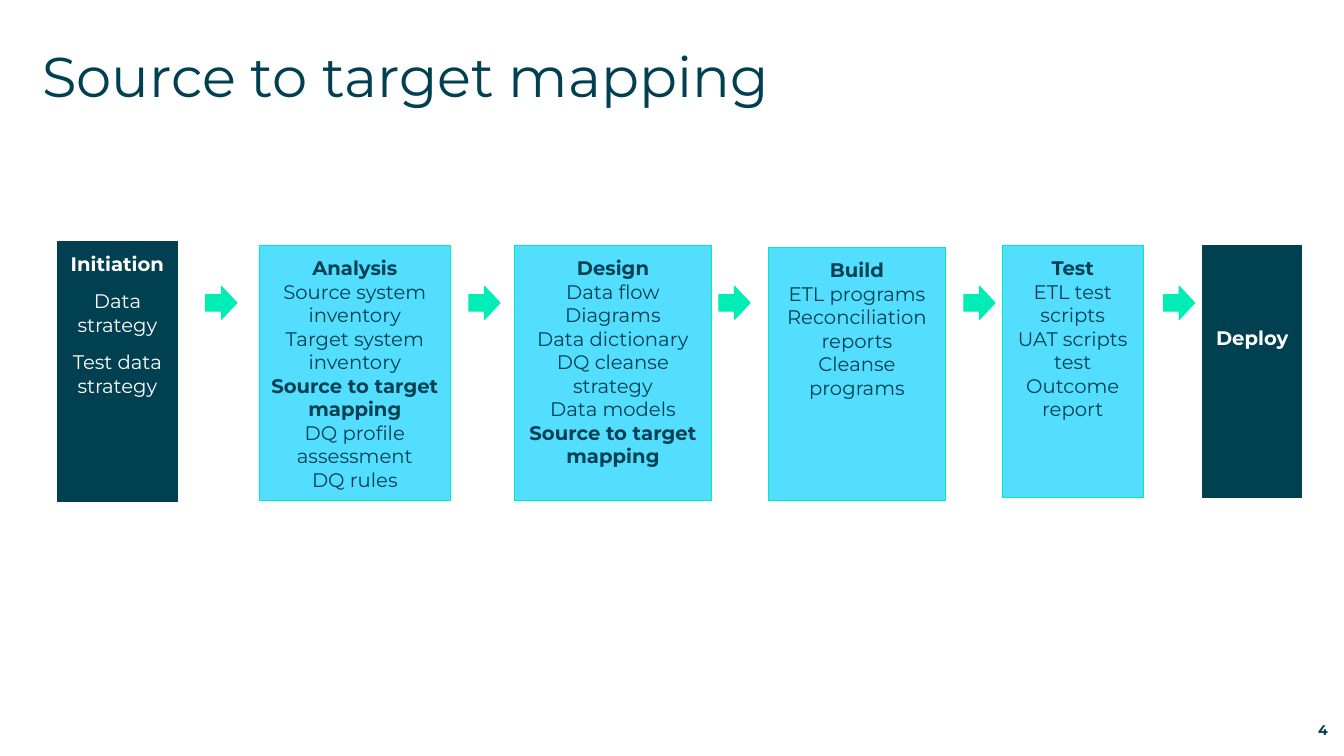
from dataclasses import dataclass
from typing import NamedTuple

from pptx import Presentation
from pptx import util as u
from pptx.dml.color import RGBColor
from pptx.enum import shapes, text

COLUMNS, ROWS = 1333, 750
CELL = u.Inches(0.01)


@dataclass(frozen=True)
class Theme:
    """Colours, font and type sizes of the slide."""
    ink: RGBColor = RGBColor(0x00, 0x40, 0x50)
    sky: RGBColor = RGBColor(0x53, 0xDD, 0xFF)
    mint: RGBColor = RGBColor(0x00, 0xED, 0xB5)
    white: RGBColor = RGBColor(0xFF, 0xFF, 0xFF)
    font: str = "Montserrat"
    title: u.Pt = u.Pt(40)
    body: u.Pt = u.Pt(14)
    number: u.Pt = u.Pt(10)
    line: u.Pt = u.Pt(0.75)


class Box(NamedTuple):
    """An area in grid columns and rows."""
    left: float
    top: float
    width: float
    height: float

    def inner(self, left, top, width, height):
        """Return an area placed relative to this one."""
        return Box(self.left + left, self.top + top, width, height)

    def lengths(self):
        """Return the area in slide units."""
        return [int(cells * CELL) for cells in self]


class Stage(NamedTuple):
    """One step of the process and the arrow that follows it."""
    name: str
    outputs: tuple
    area: tuple
    arrow: int | None
    dark: bool = False
    lift: float = 0
    gap: float = 0


THEME = Theme()
MAPPING = "Source to target mapping"
STAGES = (
    Stage("Initiation", ("Data strategy", "Test data strategy"),
          (0, 0, 119, 258), 147, dark=True, gap=9.75),
    Stage("Analysis", ("Source system inventory", "Target system inventory",
                       MAPPING, "DQ profile assessment", "DQ rules"),
          (200, 4, 190, 253), 408),
    Stage("Design", ("Data flow Diagrams", "Data dictionary",
                     "DQ cleanse strategy", "Data models", MAPPING),
          (453, 4, 196, 253), 656),
    Stage("Build", ("ETL programs", "Reconciliation reports", "Cleanse programs"),
          (705, 6, 176, 251), 899),
    Stage("Test", ("ETL test scripts", "UAT scripts", "test Outcome report"),
          (937, 4, 140, 250), 1097),
    Stage("Deploy", (), (1136, 4, 98, 250), None, dark=True, lift=68),
)


def set_frame(frame, anchor, inset=0, lift=0):
    """Set wrapping, anchor and insets of a text frame."""
    frame.word_wrap = True
    frame.auto_size = text.MSO_AUTO_SIZE.NONE
    frame.vertical_anchor = anchor
    frame.margin_left = frame.margin_right = frame.margin_top = inset * CELL
    frame.margin_bottom = (inset + lift) * CELL


def write(paragraph, words, size, color, align, bold=False):
    """Add one formatted run to a paragraph."""
    paragraph.alignment = align
    run = paragraph.add_run()
    run.text = words
    run.font.name = THEME.font
    run.font.size = size
    run.font.bold = bold
    run.font.color.rgb = color


def add_block(slide, preset, box, fill, edge):
    """Add a flat filled shape."""
    block = slide.shapes.add_shape(preset, *box.lengths())
    block.shadow.inherit = False
    block.fill.solid()
    block.fill.fore_color.rgb = fill
    block.line.color.rgb = edge
    block.line.width = THEME.line
    return block


def add_title(slide, box):
    """Place the slide title in its placeholder."""
    title = slide.shapes.title
    title.left, title.top, title.width, title.height = box.lengths()
    set_frame(title.text_frame, text.MSO_ANCHOR.TOP)
    write(title.text_frame.paragraphs[0], MAPPING, THEME.title, THEME.ink,
          text.PP_ALIGN.LEFT)


def add_number(slide, box):
    """Place the page number."""
    number = slide.shapes.add_textbox(*box.lengths())
    set_frame(number.text_frame, text.MSO_ANCHOR.BOTTOM)
    write(number.text_frame.paragraphs[0], "4", THEME.number, THEME.ink,
          text.PP_ALIGN.RIGHT, bold=True)


def add_stage(slide, box, stage):
    """Add a stage card with its heading and outputs."""
    fill, edge, ink = ((THEME.ink, THEME.ink, THEME.white) if stage.dark
                       else (THEME.sky, THEME.mint, THEME.ink))
    card = add_block(slide, shapes.MSO_SHAPE.RECTANGLE, box, fill, edge)
    frame = card.text_frame
    anchor = text.MSO_ANCHOR.MIDDLE if stage.lift else text.MSO_ANCHOR.TOP
    set_frame(frame, anchor, 10, stage.lift)
    write(frame.paragraphs[0], stage.name, THEME.body, ink,
          text.PP_ALIGN.CENTER, bold=True)
    for output in stage.outputs:
        paragraph = frame.add_paragraph()
        paragraph.space_before = u.Pt(stage.gap)
        write(paragraph, output, THEME.body, ink, text.PP_ALIGN.CENTER,
              bold=output == MAPPING)


def add_process(slide, box):
    """Lay out the stages and the arrows between them."""
    for stage in STAGES:
        add_stage(slide, box.inner(*stage.area), stage)
        if stage.arrow is not None:
            add_block(slide, shapes.MSO_SHAPE.RIGHT_ARROW,
                      box.inner(stage.arrow, 44, 31, 33), THEME.mint, THEME.mint)


def main():
    """Build and save the slide."""
    deck = Presentation()
    deck.slide_width, deck.slide_height = COLUMNS * CELL, ROWS * CELL
    slide = deck.slides.add_slide(deck.slide_layouts[5])
    add_title(slide, Box(42, 41, 1249, 57))
    add_process(slide, Box(57, 240, 1234, 258))
    add_number(slide, Box(1231, 712, 86, 20))
    deck.save("out.pptx")


if __name__ == "__main__":
    main()
